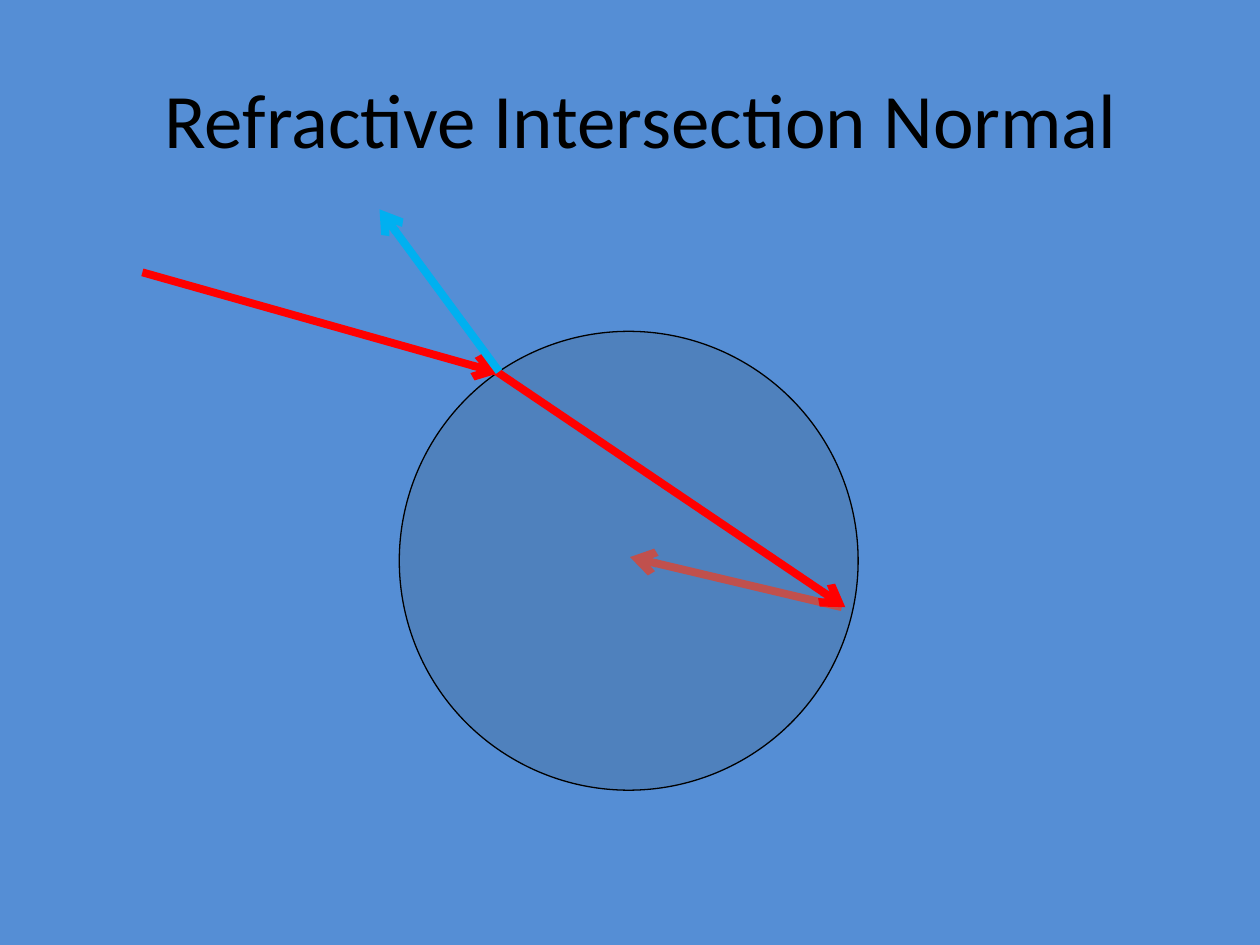
import pptx
import pptx.dml.color
import pptx.enum.shapes
import pptx.enum.text
import pptx.util
from lxml import etree
from pptx.oxml.ns import qn
from pptx.util import Cm, Pt

# Content, lengths in centimetres
heading = "Refractive Intersection Normal"
heading_box = (2.13, 0.79, 21.59, 3.18)
sphere_box = (8.05, 6.68, 9.25, 9.25)
BACKGROUND, INK, SPHERE = "558ED5", "000000", "4F81BD"
RAY, INNER_NORMAL, OUTER_NORMAL = "FF0000", "C0504D", "00B0F0"
arrows = [  # start, end, colour
    ((2.87, 5.49), (10.06, 7.52), RAY),
    ((16.97, 12.24), (12.7, 11.23), INNER_NORMAL),
    ((9.98, 7.47), (17.04, 12.24), RAY),
    ((10.06, 7.49), (7.65, 4.22), OUTER_NORMAL),
]


def paint(color_format, hex_color):
    color_format.rgb = pptx.dml.color.RGBColor.from_string(hex_color)


def add_arrow(slide, start, end, color):
    ray = slide.shapes.add_connector(
        pptx.enum.shapes.MSO_CONNECTOR.STRAIGHT,
        *(Cm(value) for value in start + end))
    ray.line.width = Pt(4.5)
    paint(ray.line.color, color)
    properties = ray.element.spPr
    outline = properties.find(qn("a:ln"))
    etree.SubElement(outline, qn("a:tailEnd"), type="arrow")
    etree.SubElement(properties, qn("a:effectLst"))


def main():
    deck = pptx.Presentation()
    deck.slide_width, deck.slide_height = Cm(25.4), Cm(19.05)
    slide = deck.slides.add_slide(deck.slide_layouts[5])
    slide.background.fill.solid()
    paint(slide.background.fill.fore_color, BACKGROUND)

    # Title
    title = slide.shapes.title
    title.left, title.top, title.width, title.height = map(Cm, heading_box)
    title.text_frame.vertical_anchor = pptx.enum.text.MSO_ANCHOR.MIDDLE
    paragraph = title.text_frame.paragraphs[0]
    paragraph.alignment = pptx.enum.text.PP_ALIGN.CENTER
    run = paragraph.add_run()
    run.text = heading
    run.font.name, run.font.size = "Calibri", Pt(44)
    paint(run.font.color, INK)

    # Sphere
    sphere = slide.shapes.add_shape(
        pptx.enum.shapes.MSO_SHAPE.OVAL, *map(Cm, sphere_box))
    sphere.shadow.inherit = False
    sphere.fill.solid()
    paint(sphere.fill.fore_color, SPHERE)
    paint(sphere.line.color, INK)
    sphere.line.width = Pt(0.75)

    # Rays and normals
    for start, end, color in arrows:
        add_arrow(slide, start, end, color)

    deck.save("out.pptx")


if __name__ == "__main__":
    main()
